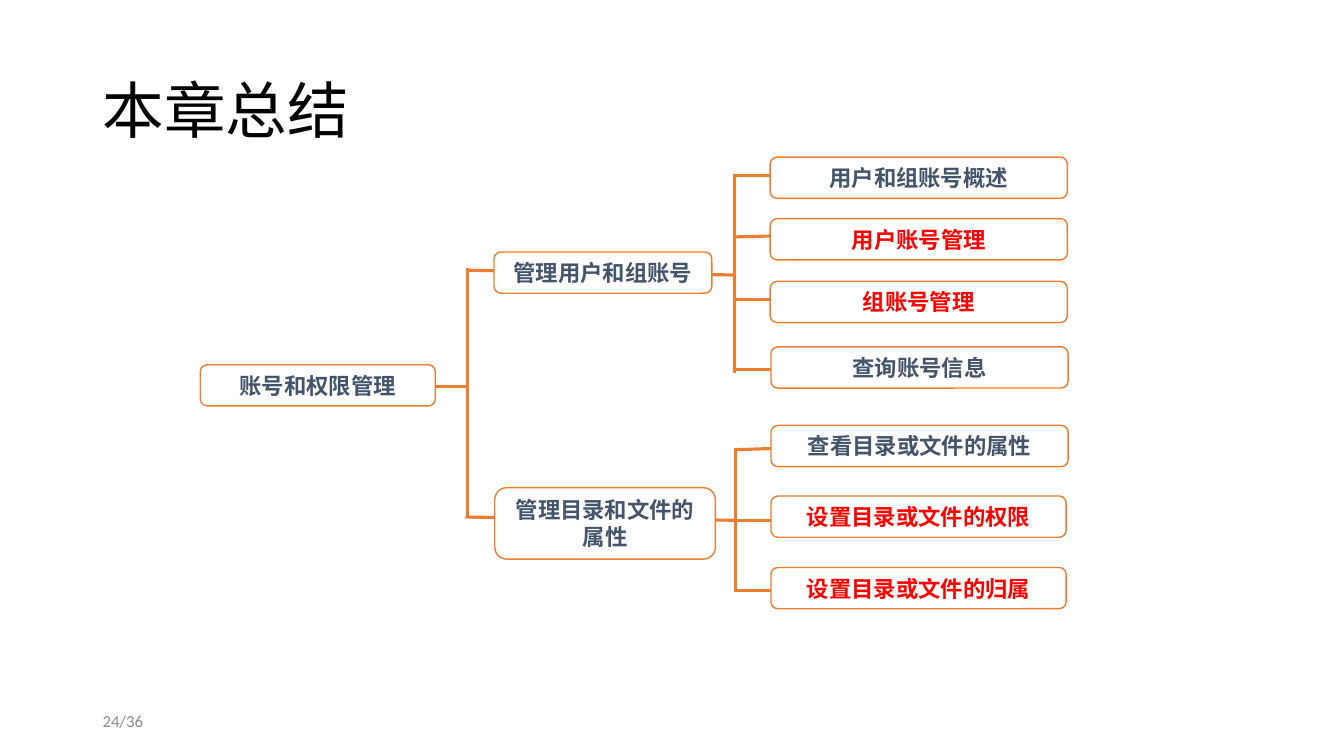
from lxml import etree
from pptx import Presentation
from pptx import util as u
from pptx.dml.color import RGBColor
from pptx.enum import shapes, text
from pptx.oxml.ns import qn

ORANGE = RGBColor(0xED, 0x7D, 0x31)
SLATE = RGBColor(0x44, 0x54, 0x6A)
RED = RGBColor(0xFF, 0x00, 0x00)
BLACK = RGBColor(0x00, 0x00, 0x00)
GREY = RGBColor(0x8C, 0x8C, 0x8C)
WHITE = RGBColor(0xFF, 0xFF, 0xFF)

BOX_HEIGHT = 1.04

# Branches: label, colour, left, top, width, height
BRANCHES = [
    ("账号和权限管理", SLATE, 5.05, 9.19, 5.92, BOX_HEIGHT),
    ("管理用户和组账号", SLATE, 12.45, 6.35, 5.49, BOX_HEIGHT),
    ("管理目录和文件的属性", SLATE, 12.47, 12.29, 5.56, 1.8),
]

# Topics in the right column: label, colour, left, top, width
TOPICS = [
    ("用户和组账号概述", SLATE, 19.41, 3.96, 7.49),
    ("用户账号管理", RED, 19.41, 5.51, 7.49),
    ("组账号管理", RED, 19.41, 7.09, 7.49),
    ("查询账号信息", SLATE, 19.43, 8.74, 7.49),
    ("查看目录或文件的属性", SLATE, 19.43, 10.72, 7.49),
    ("设置目录或文件的权限", RED, 19.43, 12.5, 7.44),
    ("设置目录或文件的归属", RED, 19.43, 14.3, 7.44),
]

# Links: start x, start y, end x, end y
TRUNKS = [
    (11.79, 6.76, 11.79, 13.06),
    (18.52, 4.39, 18.52, 9.4),
    (18.54, 11.3, 18.54, 14.91),
]
TWIGS = [
    (10.57, 9.73, 11.79, 9.73),
    (11.79, 6.81, 18.52, 6.93),
    (11.73, 13.03, 18.52, 13.11),
    (18.49, 4.42, 19.48, 4.42),
    (18.52, 5.97, 19.71, 5.94),
    (18.47, 7.54, 19.66, 7.54),
    (18.52, 9.32, 19.53, 9.32),
    (18.57, 11.33, 19.53, 11.3),
    (18.57, 13.11, 19.56, 13.11),
    (18.54, 14.88, 19.53, 14.88),
]


def write(shape, words, align, size, color, bold=False, spacing=1.0):
    """Put one styled paragraph into a shape."""
    frame = shape.text_frame
    frame.word_wrap = True
    frame.vertical_anchor = text.MSO_ANCHOR.MIDDLE
    para = frame.paragraphs[0]
    para.alignment = align
    para.line_spacing = spacing
    span = para.add_run()
    span.text = words
    formats = {"name": "Calibri", "size": u.Pt(size), "bold": bold}
    for name, value in formats.items():
        setattr(span.font, name, value)
    span.font.color.rgb = color


def add_link(page, *ends):
    link = page.shapes.add_connector(
        shapes.MSO_CONNECTOR.STRAIGHT, *map(u.Cm, ends))
    link.line.color.rgb = ORANGE
    link.line.width = u.Pt(2.25)
    etree.SubElement(link._element.spPr, qn("a:effectLst"))


def add_node(page, words, color, left, top, width, height=BOX_HEIGHT):
    box = page.shapes.add_shape(
        shapes.MSO_SHAPE.ROUNDED_RECTANGLE,
        *map(u.Cm, (left, top, width, height)))
    box.shadow.inherit = False
    box.fill.solid()
    box.fill.fore_color.rgb = WHITE
    box.line.color.rgb = ORANGE
    box.line.width = u.Pt(1)
    write(box, words, text.PP_ALIGN.CENTER, 16, color, bold=True)


def add_label(page, words, area, size, color, spacing=1.0):
    box = page.shapes.add_textbox(*map(u.Cm, area))
    write(box, words, text.PP_ALIGN.LEFT, size, color, spacing=spacing)


def main():
    deck = Presentation()
    deck.slide_width, deck.slide_height = u.Cm(33.87), u.Cm(19.05)
    page = deck.slides.add_slide(deck.slide_layouts[6])

    # Title
    add_label(page, "本章总结", (2.34, 1.02, 29.21, 3.68), 44, BLACK, 0.9)

    # Links lie behind the boxes
    for ends in TRUNKS + TWIGS:
        add_link(page, *ends)

    # Tree boxes
    for node in BRANCHES + TOPICS:
        add_node(page, *node)

    # Page number
    add_label(page, "24/36", (2.34, 17.65, 7.62, 1.02), 12, GREY)

    deck.save("out.pptx")


if __name__ == "__main__":
    main()
